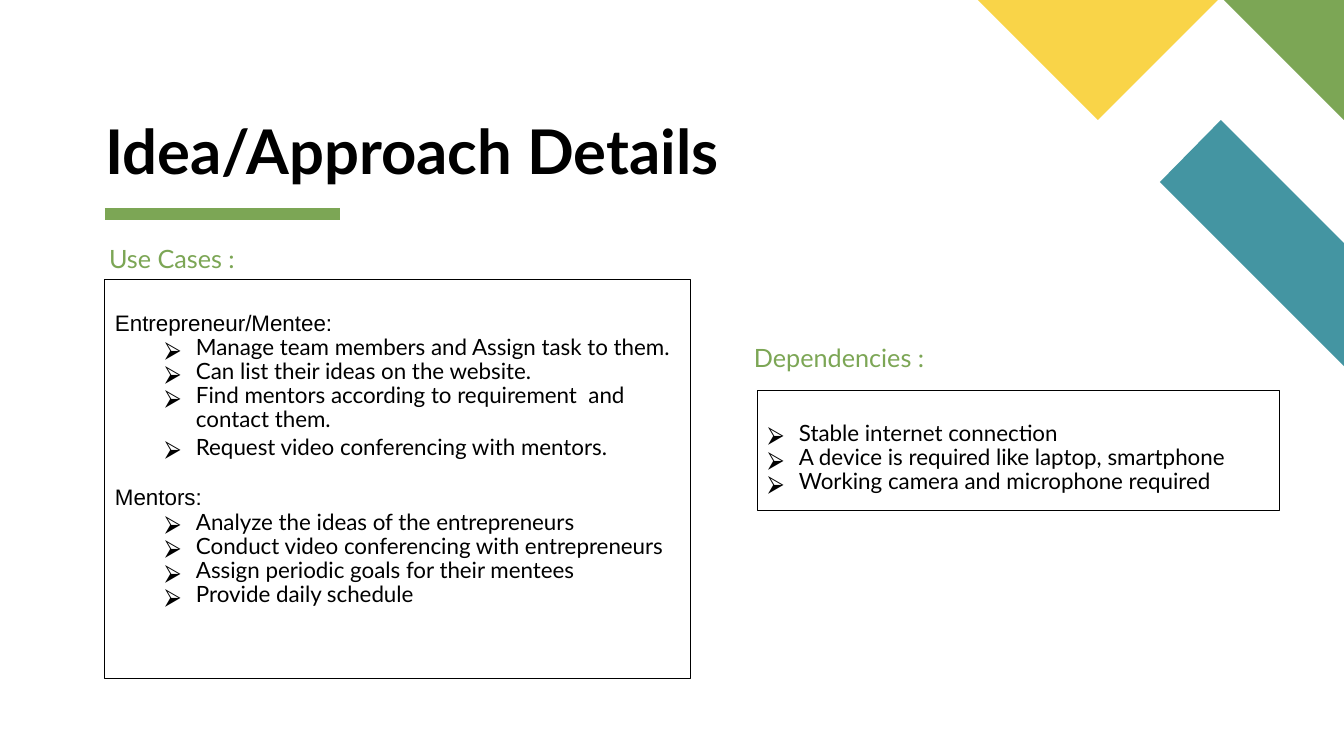
from lxml.etree import SubElement
from pptx import Presentation
from pptx.dml.color import RGBColor
from pptx.enum.shapes import MSO_CONNECTOR, MSO_SHAPE
from pptx.enum.text import MSO_ANCHOR, PP_ALIGN
from pptx.oxml.ns import qn
from pptx.util import Emu, Pt

BLACK, GREEN, TEAL, YELLOW = "000000", "7CA655", "4495A2", "F9D448"
HANG = 31  # hanging indent of a bullet


def px(n):
    return Emu(round(n * 914400 / 100.8))


def color(value):
    return RGBColor.from_string(value)


class Deck:
    """Holds the text style and the slide being drawn."""
    font = "Lato"
    line_spacing = 0.9

    def __init__(self, width, height):
        self.prs = Presentation()
        self.prs.slide_width, self.prs.slide_height = px(width), px(height)
        self.s = self.prs.slides.add_slide(self.prs.slide_layouts[6])

    def rule(self, x1, x2, y, fill, weight):
        line = self.s.shapes.add_connector(
            MSO_CONNECTOR.STRAIGHT, px(x1), px(y), px(x2), px(y))
        line.line.color.rgb = color(fill)
        line.line.width = Pt(weight)
        SubElement(line._element.spPr, qn("a:effectLst"))

    def polygon(self, points, fill):
        builder = self.s.shapes.build_freeform(*points[0], scale=px(1))
        builder.add_line_segments(points[1:], close=True)
        sp = builder.convert_to_shape()
        sp.shadow.inherit = False
        sp.fill.solid()
        sp.fill.fore_color.rgb = color(fill)
        sp.line.fill.background()

    def frame(self, sp, inset, anchor=MSO_ANCHOR.TOP):
        """Set insets as (left, top, right, bottom) and return the text frame."""
        tf = sp.text_frame
        tf.word_wrap = True
        tf.vertical_anchor = anchor
        (tf.margin_left, tf.margin_top,
         tf.margin_right, tf.margin_bottom) = map(px, inset)
        return tf

    def style(self, p, size, fill, font=None, bold=False):
        p.alignment = PP_ALIGN.LEFT
        p.line_spacing = self.line_spacing
        for r in p.runs:
            r.font.size = Pt(size)
            r.font.name = font or self.font
            r.font.bold = bold
            r.font.color.rgb = color(fill)

    def text(self, x, y, w, h, words, size, fill, inset=(10, 5, 10, 5),
             anchor=MSO_ANCHOR.TOP, bold=False):
        sp = self.s.shapes.add_textbox(px(x), px(y), px(w), px(h))
        tf = self.frame(sp, inset, anchor)
        tf.text = words
        self.style(tf.paragraphs[0], size, fill, bold=bold)

    def bullet(self, p, indent):
        pPr = p._p.get_or_add_pPr()
        pPr.set("marL", str(px(indent + HANG)))
        pPr.set("indent", str(-px(HANG)))
        clr = SubElement(pPr, qn("a:buClr"))
        SubElement(clr, qn("a:srgbClr")).set("val", BLACK)
        SubElement(pPr, qn("a:buFont")).set("typeface", "Noto Sans Symbols")
        SubElement(pPr, qn("a:buChar")).set("char", "⮚")

    def list_box(self, x, y, w, h, groups, top):
        """Outlined box of (heading, items) groups; items indent under a heading."""
        sp = self.s.shapes.add_shape(
            MSO_SHAPE.RECTANGLE, px(x), px(y), px(w), px(h))
        sp.shadow.inherit = False
        sp.fill.background()
        sp.line.color.rgb = color(BLACK)
        sp.line.width = Pt(0.75)
        tf = self.frame(sp, (10, top, 10, 5))
        p = tf.paragraphs[0]
        for number, (heading, items) in enumerate(groups):
            if heading:
                if number:
                    p = tf.add_paragraph()
                    p.space_before = px(27)
                p.text = heading
                self.style(p, 16, BLACK, font="Arial")
            for item in items:
                if p.text:
                    p = tf.add_paragraph()
                p.text = item
                self.style(p, 16, BLACK)
                self.bullet(p, 50 if heading else 0)
                if item.startswith("Request"):
                    p.line_spacing = 1.0


USE_CASES = [
    ("Entrepreneur/Mentee:", [
        "Manage team members and Assign task to them.",
        "Can list their ideas on the website.",
        "Find mentors according to requirement  and contact them.",
        "Request video conferencing with mentors."]),
    ("Mentors:", [
        "Analyze the ideas of the entrepreneurs",
        "Conduct video conferencing with entrepreneurs",
        "Assign periodic goals for their mentees",
        "Provide daily schedule"]),
]
DEPENDENCIES = [
    (None, [
        "Stable internet connection",
        "A device is required like laptop, smartphone",
        "Working camera and microphone required"]),
]


def main():
    deck = Deck(1344, 756)
    deck.rule(105, 340, 214, GREEN, 8)
    deck.polygon([(1344, 366), (1344, 243), (1221, 120), (1160, 182)], TEAL)
    deck.polygon([(1344, 120), (1344, 0), (1224, 0)], GREEN)
    deck.polygon([(978, 0), (1098, 120), (1218, 0)], YELLOW)

    deck.text(105, 121, 637, 67, "Idea/Approach Details", 44, BLACK,
              inset=(0, 0, 0, 0), anchor=MSO_ANCHOR.BOTTOM, bold=True)
    deck.text(99, 242, 533, 35, "Use Cases :", 18, GREEN)
    deck.list_box(105, 280, 586, 399, USE_CASES, top=32)
    deck.text(744, 341, 567, 35, "Dependencies :", 18, GREEN)
    deck.list_box(758, 391, 522, 120, DEPENDENCIES, top=31)
    deck.prs.save("out.pptx")


if __name__ == "__main__":
    main()
